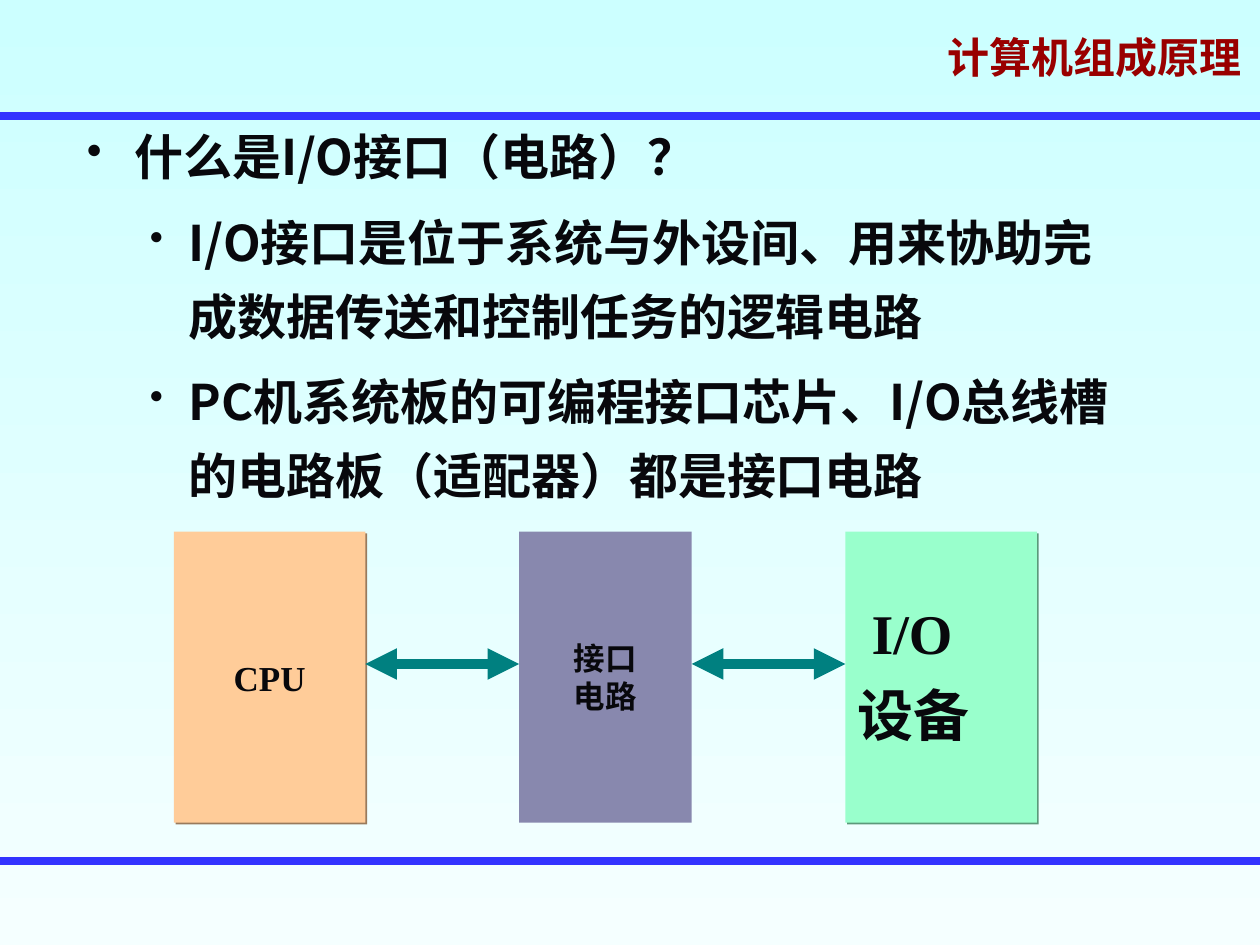
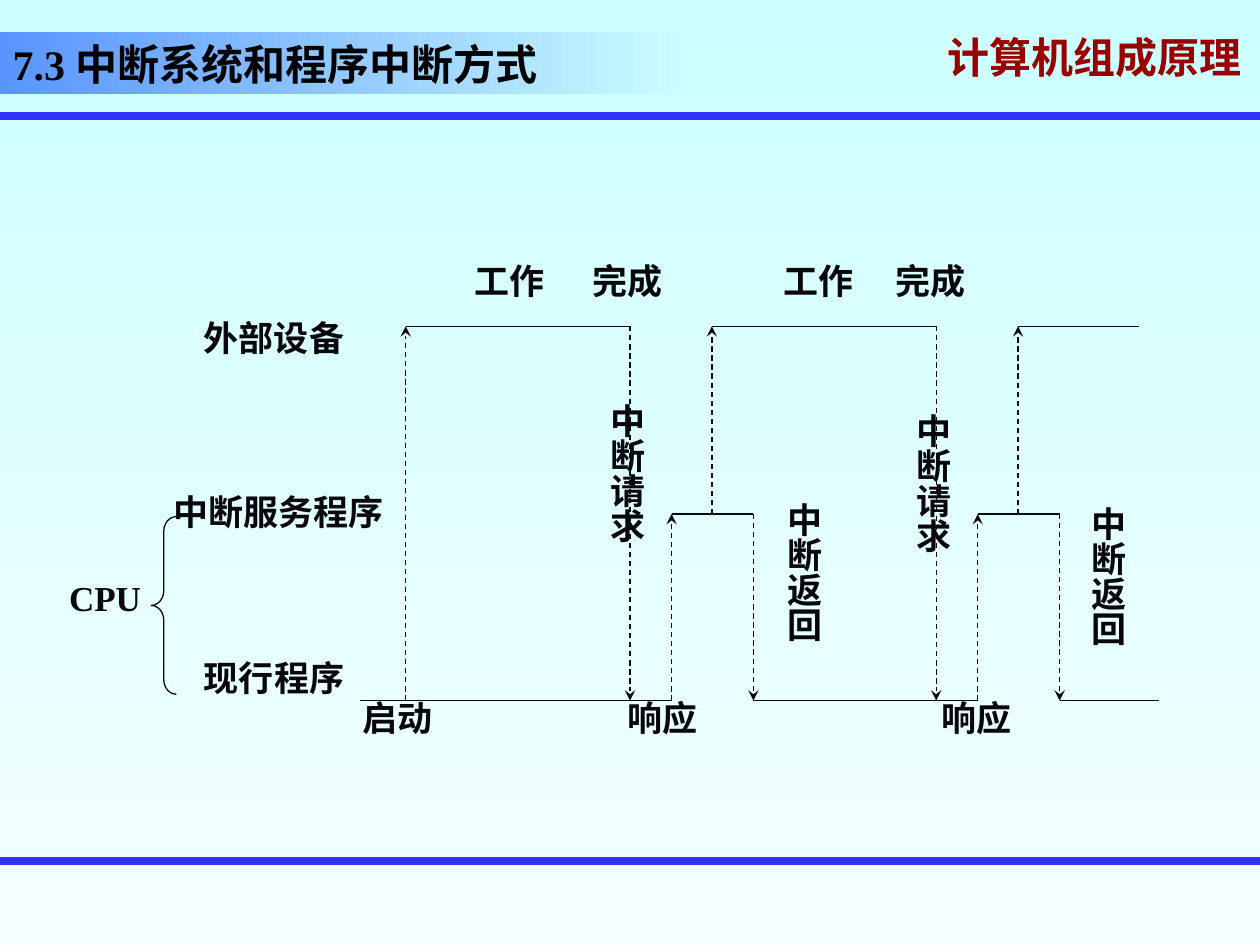
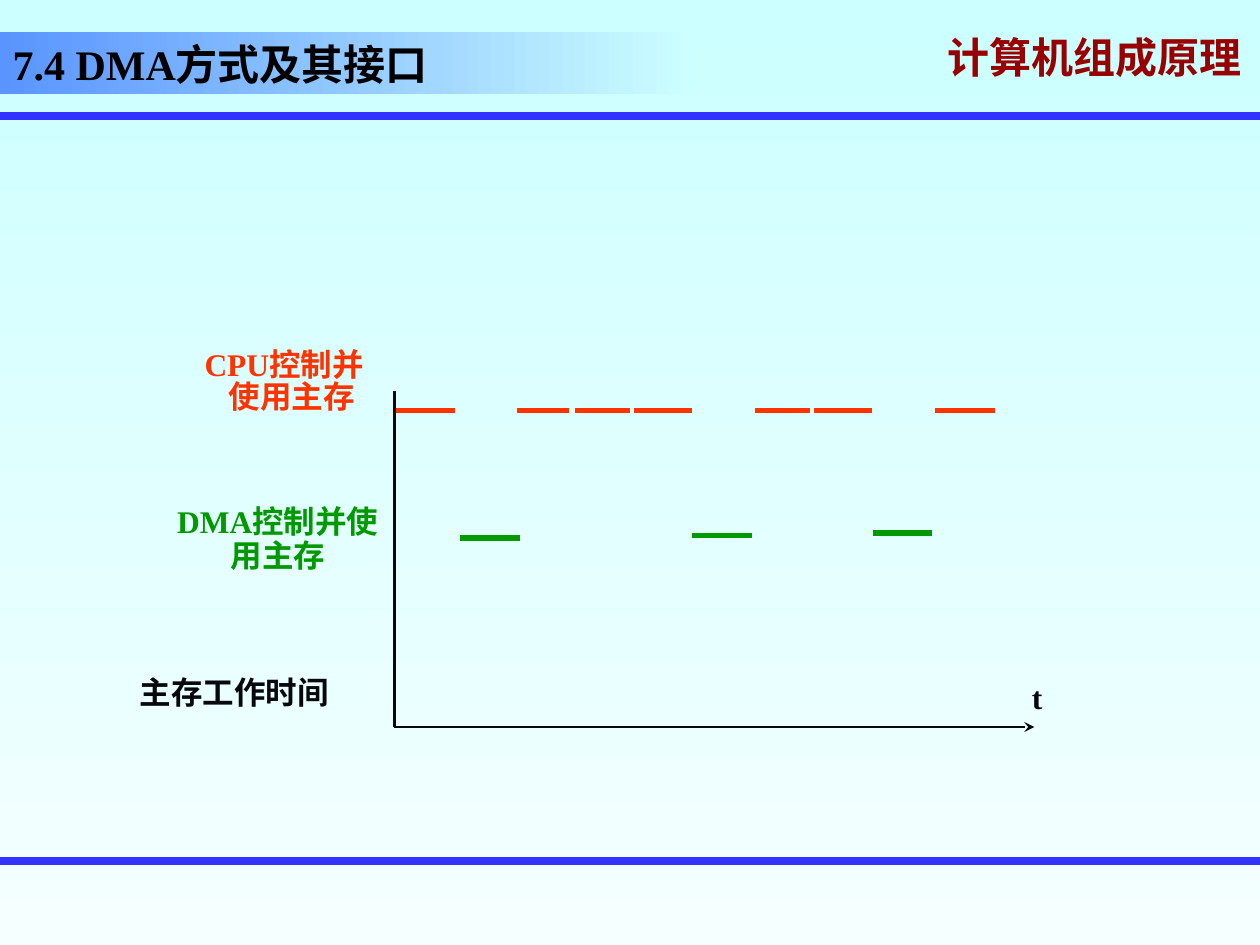
from dataclasses import dataclass
from typing import Any, Optional

from lxml import etree
from pptx import Presentation
from pptx.dml.color import RGBColor
from pptx.enum.dml import MSO_LINE
from pptx.enum.shapes import MSO_CONNECTOR, MSO_SHAPE
from pptx.enum.text import MSO_ANCHOR, MSO_AUTO_SIZE, PP_ALIGN
from pptx.oxml.ns import qn
from pptx.util import Pt

EMU_PER_PX = 9144
STRAIGHT = MSO_CONNECTOR.STRAIGHT
RECTANGLE, LEFT_BRACE = MSO_SHAPE.RECTANGLE, MSO_SHAPE.LEFT_BRACE
DASH = MSO_LINE.DASH
LEFT, CENTER, JUSTIFY = PP_ALIGN.LEFT, PP_ALIGN.CENTER, PP_ALIGN.JUSTIFY
TOP, MIDDLE, BOTTOM = MSO_ANCHOR.TOP, MSO_ANCHOR.MIDDLE, MSO_ANCHOR.BOTTOM
NO_FIT, GROW = MSO_AUTO_SIZE.NONE, MSO_AUTO_SIZE.SHAPE_TO_FIT_TEXT
TITLE_ONLY, BLANK = 5, 6

SANS, SERIF = "Noto Sans CJK SC", "Times New Roman"
COLORS = {
    "sky": "CCFFFF",
    "pale": "F5FFFF",
    "band": "5994FF",
    "rule": "3333FF",
    "course": "990000",
    "course_shadow": "808080",
    "ink": "08080C",
    "black": "000000",
    "cpu": "FFCC99",
    "cpu_shadow": "997A5C",
    "interface": "8888AE",
    "device": "99FFCC",
    "device_shadow": "5C997A",
    "arrow": "008080",
    "cpu_time": "FF3300",
    "dma_time": "009900",
}


@dataclass(frozen=True)
class Area:
    left: int
    top: int
    width: int
    height: int

    def emu(self) -> list[int]:
        return [px(n) for n in (self.left, self.top, self.width, self.height)]


@dataclass(frozen=True)
class Bullet:
    margin: int
    hanging: int
    percent: int


@dataclass(frozen=True)
class Line:
    text: str
    size: int = 20
    color: str = "ink"
    font: str = SERIF
    align: Any = LEFT
    spacing: float = 1.0
    before: float = 0
    margin: int = 0
    level: int = 0
    bullet: Optional[Bullet] = None


@dataclass(frozen=True)
class Stroke:
    color: str = "ink"
    width: float = 0.75
    dash: Any = None
    head: str = ""
    tail: str = ""


@dataclass(frozen=True)
class Block:
    area: Area
    fill: str
    shadow: str = ""
    lines: tuple[Line, ...] = ()


@dataclass(frozen=True)
class Label:
    text: str
    left: int
    top: int
    width: int = 111


SOLID = Stroke()
SIGNAL = Stroke(dash=DASH, tail="stealth")


def px(value: int) -> int:
    return value * EMU_PER_PX


def rgb(name: str) -> RGBColor:
    return RGBColor.from_string(COLORS[name])


def set_all(target: Any, values: dict[str, Any]) -> None:
    for name, value in values.items():
        setattr(target, name, value)


def add_child(parent: Any, tag: str, **attributes: Any) -> Any:
    texts = {name: str(value) for name, value in attributes.items()}
    return etree.SubElement(parent, qn(tag), texts)


def add_shadow(effects: Any, color: str) -> None:
    shadow = add_child(effects, "a:outerShdw", dist=Pt(1.4), dir=45 * 60000,
                       algn="ctr", rotWithShape=0)
    add_child(shadow, "a:srgbClr", val=COLORS[color])


def set_gradient(fill: Any, angle: int, names: tuple[str, str]) -> None:
    fill.gradient()
    fill.gradient_angle = angle
    for stop, name in zip(fill.gradient_stops, names):
        stop.color.rgb = rgb(name)


def add_bullet(para: Any, line: Line) -> None:
    properties = para._p.get_or_add_pPr()
    bullet = line.bullet
    if bullet:
        properties.set("marL", str(px(bullet.margin)))
        properties.set("indent", str(-px(bullet.hanging)))
        color = add_child(properties, "a:buClr")
        add_child(color, "a:srgbClr", val=COLORS[line.color])
        add_child(properties, "a:buSzPct", val=bullet.percent * 1000)
        add_child(properties, "a:buChar", char="•")
    elif line.margin:
        properties.set("marL", str(px(line.margin)))


def write_lines(frame: Any, lines: tuple[Line, ...], **frame_format: Any) -> None:
    set_all(frame, {"word_wrap": True, **frame_format})
    for index, line in enumerate(lines):
        para = frame.add_paragraph() if index else frame.paragraphs[0]
        add_bullet(para, line)
        set_all(para, {
            "alignment": line.align,
            "line_spacing": line.spacing,
            "space_before": Pt(line.before),
            "level": line.level,
        })
        span = para.add_run()
        span.text = line.text
        set_all(span.font, {"size": Pt(line.size), "bold": True, "name": line.font})
        span.font.color.rgb = rgb(line.color)
        latin = span.font._element.find(qn("a:latin"))
        latin.addnext(latin.makeelement(qn("a:ea"), {"typeface": SANS}))


def add_text(page: Any, area: Area, lines: tuple[Line, ...], **frame_format: Any) -> Any:
    box = page.shapes.add_textbox(*area.emu())
    write_lines(box.text_frame, lines, **frame_format)
    return box


def add_line(page: Any, start: tuple[int, int], end: tuple[int, int], stroke: Stroke) -> Any:
    connector = page.shapes.add_connector(STRAIGHT, *(px(n) for n in (*start, *end)))
    connector.line.color.rgb = rgb(stroke.color)
    set_all(connector.line, {"width": Pt(stroke.width), "dash_style": stroke.dash})
    outline = connector.get_or_add_ln()
    for tag, kind in (("a:headEnd", stroke.head), ("a:tailEnd", stroke.tail)):
        if kind:
            add_child(outline, tag, type=kind)
    add_child(connector.element.spPr, "a:effectLst")
    return connector


def add_block(page: Any, block: Block) -> None:
    shape = page.shapes.add_shape(RECTANGLE, *block.area.emu())
    shape.fill.solid()
    shape.fill.fore_color.rgb = rgb(block.fill)
    shape.line.fill.background()
    shape.shadow.inherit = False
    if block.shadow:
        add_shadow(shape.element.spPr.find(qn("a:effectLst")), block.shadow)
    if block.lines:
        write_lines(shape.text_frame, block.lines,
                    word_wrap=False, vertical_anchor=MIDDLE)


def add_title(page: Any, text: str) -> None:
    title = page.shapes.title
    area = Area(0, 25, 550, 50).emu()
    set_all(title, dict(zip(("left", "top", "width", "height"), area)))
    set_gradient(title.fill, 0, ("band", "sky"))
    line = Line(text, 24, "black", align=JUSTIFY, spacing=0.8)
    write_lines(title.text_frame, (line,), vertical_anchor=BOTTOM, auto_size=NO_FIT)


def build_master(deck: Any, page: Any) -> None:
    master = deck.slide_master
    set_gradient(master.background.fill, 270, ("sky", "pale"))
    course = add_text(
        page, Area(742, 25, 258, 50),
        (Line("计算机组成原理", 24, "course", SANS, spacing=0.7),),
        vertical_anchor=MIDDLE,
    )
    font = course.text_frame.paragraphs[0].runs[0].font._element
    effects = font.makeelement(qn("a:effectLst"), {})
    font.find(qn("a:solidFill")).addnext(effects)
    add_shadow(effects, "course_shadow")
    rules = [add_line(page, (0, y), (1000, y), Stroke("rule", 4.5)) for y in (92, 683)]
    for number, shape in enumerate([course, *rules], start=101):
        shape.element.xpath(".//p:cNvPr")[0].set("id", str(number))
        master.element.cSld.spTree.append(shape.element)


def build_interface(page: Any) -> None:
    outer, inner = Bullet(38, 38, 90), Bullet(81, 31, 80)
    points = (
        ("什么是I/O接口（电路）？", 0, outer),
        ("I/O接口是位于系统与外设间、用来协助完成数据传送和控制任务的逻辑电路", 1, inner),
        ("PC机系统板的可编程接口芯片、I/O总线槽的电路板（适配器）都是接口电路", 1, inner),
    )
    add_text(page, Area(59, 84, 849, 328), tuple(
        Line(text, 28, font=SANS, spacing=1.25, before=7 * level, level=level, bullet=bullet)
        for text, level, bullet in points
    ))
    top, height = 422, 231
    blocks = (
        Block(Area(138, top, 152, height), "cpu", "cpu_shadow",
              (Line("CPU", align=CENTER),)),
        Block(Area(412, top, 137, height), "interface",
              lines=tuple(Line(text, 18, align=CENTER) for text in ("接口", "电路"))),
        Block(Area(671, top, 152, height), "device", "device_shadow"),
    )
    for block in blocks:
        add_block(page, block)
    add_text(page, Area(671, 485, 152, 113), (
        Line("I/O", 32, spacing=0.7, margin=11),
        Line("设备", 32, spacing=0.7, before=20),
    ), auto_size=GROW)
    bus = Stroke("arrow", 6, head="triangle", tail="triangle")
    for source, target in zip(blocks, blocks[1:]):
        right = source.area.left + source.area.width
        add_line(page, (right, 527), (target.area.left, 527), bus)


def build_interrupt(page: Any) -> None:
    add_title(page, "7.3 中断系统和程序中断方式")
    device, service, program = 259, 408, 556
    first, period = 322, 243
    starts = [first + period * cycle for cycle in range(3)]
    program_from = 286
    for start in starts[:2]:
        request, response, back = start + 178, start + 211, start + 276
        launch = start + period
        add_line(page, (program_from, program), (response, program), SOLID)
        add_line(page, (start, device), (request, device), SOLID)
        add_line(page, (request, device), (request, program), SIGNAL)
        add_line(page, (response, program), (response, service), SIGNAL)
        add_line(page, (response, service), (back, service), SOLID)
        add_line(page, (launch, service), (launch, device), SIGNAL)
        add_line(page, (back, service), (back, program), SIGNAL)
        program_from = back
    add_line(page, (first, program), (first, device), SIGNAL)
    add_line(page, (program_from, program), (920, program), SOLID)
    add_line(page, (starts[-1], device), (904, device), SOLID)

    labels = (
        Label("启动", 278, 548),
        Label("工作", 367, 201),
        Label("工作", 612, 201),
        Label("完成", 460, 201),
        Label("完成", 701, 201),
        Label("响应", 488, 548),
        Label("响应", 737, 548),
        Label("外部设备", 152, 246, 184),
        Label("中断服务程序", 128, 384, 219),
        Label("现行程序", 152, 516, 219),
        Label("CPU", 45, 453, 113),
    )
    for label in labels:
        add_text(page, Area(label.left, label.top, label.width, 44),
                 (Line(label.text),), auto_size=GROW)

    vertical_labels = (
        Label("中断请求", 466, 310, 53),
        Label("中断请求", 709, 318, 53),
        Label("中断返回", 607, 389, 53),
        Label("中断返回", 848, 392, 53),
    )
    for label in vertical_labels:
        box = add_text(
            page, Area(label.left, label.top, label.width, 262), (Line(label.text),),
            auto_size=GROW, margin_left=px(5), margin_right=px(5),
            margin_top=px(10), margin_bottom=px(10),
        )
        box.text_frame._txBody.bodyPr.set("vert", "eaVert")

    brace = page.shapes.add_shape(LEFT_BRACE, *Area(120, 410, 20, 141).emu())
    brace.adjustments[0] = 0.58
    brace.fill.background()
    brace.line.color.rgb = rgb("ink")
    brace.line.width = Pt(0.75)
    brace.shadow.inherit = False


def build_dma(page: Any) -> None:
    add_title(page, "7.4 DMA方式及其接口")
    cpu_slots = ((313, 361), (410, 452), (456, 500), (503, 549),
                 (599, 643), (646, 692), (742, 790))
    dma_slots = ((365, 413, 427), (549, 597, 425), (693, 740, 423))
    slots = [(start, end, 326, "cpu_time") for start, end in cpu_slots]
    slots += [(*slot, "dma_time") for slot in dma_slots]
    for start, end, y, color in slots:
        add_line(page, (start, y), (end, y), Stroke(color, 3))

    origin = (313, 577)
    add_line(page, origin, (821, 577), Stroke(width=1.5, tail="stealth"))
    add_line(page, (313, 310), origin, Stroke(width=1.5))

    captions = (
        (Area(130, 269, 191, 62), (
            Line("CPU控制并", 18, "cpu_time", align=CENTER),
            Line("使用主存", 18, "cpu_time", align=CENTER, spacing=0.2,
                 before=11.2, margin=12),
        )),
        (Area(125, 397, 191, 64), (
            Line("DMA控制并使用主存", 18, "dma_time", align=CENTER, spacing=0.9),
        )),
        (Area(101, 529, 222, 40), (Line("主存工作时间", 18),)),
        (Area(809, 533, 79, 40), (Line("t", 18),)),
    )
    for area, lines in captions:
        add_text(page, area, lines, auto_size=GROW)


def main() -> None:
    deck = Presentation()
    set_all(deck, {"slide_width": px(1000), "slide_height": px(750)})
    pages = [deck.slides.add_slide(deck.slide_layouts[layout])
             for layout in (BLANK, TITLE_ONLY, TITLE_ONLY)]
    build_master(deck, pages[0])
    for build, page in zip((build_interface, build_interrupt, build_dma), pages):
        build(page)
    deck.save("out.pptx")


if __name__ == "__main__":
    main()
